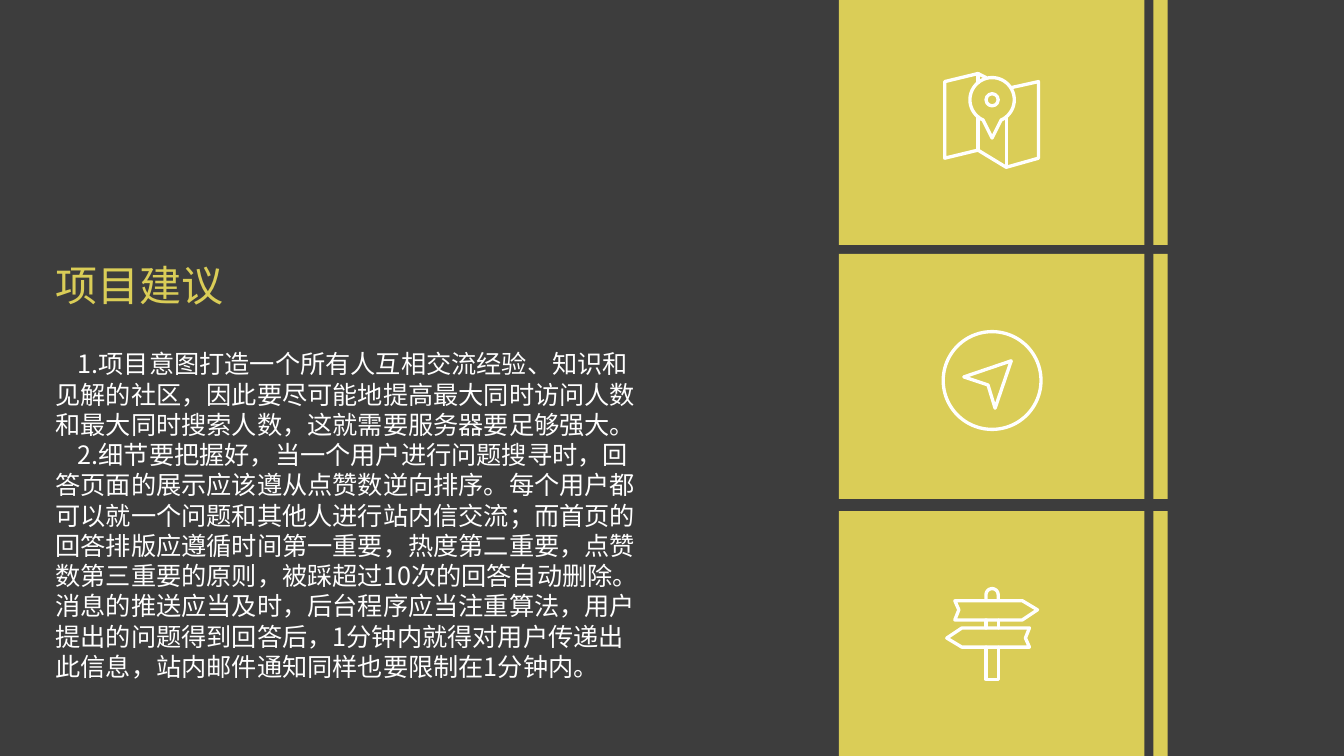
"""Build the project suggestions slide with a column of icon tiles."""
from math import cos, radians, sin

from lxml.etree import SubElement
from pptx import Presentation
from pptx.dml.color import RGBColor
from pptx.enum.shapes import MSO_CONNECTOR as CONN, MSO_SHAPE as SHAPE
from pptx.enum.text import MSO_ANCHOR as ANCHOR, MSO_AUTO_SIZE as FIT, PP_ALIGN as ALIGN
from pptx.oxml.ns import qn
from pptx.util import Inches, Pt

FONT = "Noto Sans CJK SC"
DARK, YELLOW, WHITE = "3D3D3D", "DACD57", "FFFFFF"
TITLE = "项目建议"
BODY = [
    "1.项目意图打造一个所有人互相交流经验、知识和见解的社区，因此要尽可能地提高最大同时访问人数和最大同时搜索人数，这就需要服务器要足够强大。",
    "2.细节要把握好，当一个用户进行问题搜寻时，回答页面的展示应该遵从点赞数逆向排序。每个用户都可以就一个问题和其他人进行站内信交流；而首页的回答排版应遵循时间第一重要，热度第二重要，点赞数第三重要的原则，被踩超过10次的回答自动删除。消息的推送应当及时，后台程序应当注重算法，用户提出的问题得到回答后，1分钟内就得对用户传递出此信息，站内邮件通知同样也要限制在1分钟内。",
]
TILE_TOPS, TILE_H = (0, 2.52, 5.07), 2.43
COLUMNS = ((8.32, 3.03), (11.44, 0.14))
ICON_X, ICON_YS = 9.84, (1.2, 3.78, 6.29)


def arc(cx, cy, r, start, end, steps=48):
    """Return points along an arc, with angles in degrees."""
    angles = [radians(start + (end - start) * i / steps) for i in range(steps + 1)]
    return [(cx + r * cos(a), cy + r * sin(a)) for a in angles]


MAP = {
    "circles": [(0, -21, 6)],
    "closed": [arc(0, -21, 22, 114, 426) + [(0, 17)]],
    "open": [[(-14, -47), (-47, -39), (-47, 37), (-14, 29), (14, 46), (46, 37), (46, -39), (19, -33)]],
    "lines": [(14, 46, 14, -4), (-14, -38, -14, -47), (-14, 29, -14, -4), (-6, -43, -14, -47)],
}
COMPASS = {
    "circles": [(0, -0.5, 48.5)],
    "closed": [[(3, 27), (-4, 4), (-28, -4), (19, -20)]],
}
SIGNPOST = {
    "closed": [
        [(30, -14), (-37, -14), (-33, -24), (-37, -33), (30, -33), (45, -24)],
        [(-30, -6), (37, -6), (33, 4), (37, 13), (-30, 13), (-45, 4)],
    ],
    "open": [
        [(-6, -35)] + arc(0, -39, 6, 180, 360) + [(6, -35)],
        [(-6, 13), (-6, 45), (6, 45), (6, 13)],
    ],
    "lines": [(-6, -14, -6, -6), (6, -6, 6, -14)],
}


def color(value):
    """Turn a hex string into a colour."""
    return RGBColor.from_string(value)


def outline(sp):
    """Give an icon part its white rounded outline."""
    sp.line.color.rgb = color(WHITE)
    sp.line.width = Pt(2.38)
    ln = sp.line._get_or_add_ln()
    ln.set("cap", "rnd")
    SubElement(ln, qn("a:round"))


def add_tile(shapes, left, top, width):
    """Add one yellow block."""
    sp = shapes.add_shape(SHAPE.RECTANGLE, Inches(left), Inches(top), Inches(width), Inches(TILE_H))
    sp.shadow.inherit = False
    sp.fill.solid()
    sp.fill.fore_color.rgb = color(YELLOW)
    sp.line.fill.background()


def add_icon(shapes, icon, cx, cy):
    """Draw a grouped icon from hundredths of an inch around its centre."""
    def at(x, y):
        return Inches(cx + x / 100), Inches(cy + y / 100)

    group = shapes.add_group_shape().shapes
    parts = []
    for x, y, r in icon.get("circles", []):
        size = Inches(r / 50)
        parts.append(group.add_shape(SHAPE.OVAL, *at(x - r, y - r), size, size))
    for kind in ("closed", "open"):
        for points in icon.get(kind, []):
            start, *rest = [at(*point) for point in points]
            builder = group.build_freeform(*start)
            builder.add_line_segments(rest, close=kind == "closed")
            parts.append(builder.convert_to_shape())
    for sp in parts:
        sp.shadow.inherit = False
        sp.fill.background()
        outline(sp)
    for x1, y1, x2, y2 in icon.get("lines", []):
        line = group.add_connector(CONN.STRAIGHT, *at(x1, y1), *at(x2, y2))
        outline(line)
        SubElement(line._element.spPr, qn("a:effectLst"))


def fill_text(sp, box, lines, size, shade, anchor, indent=0):
    """Place a placeholder and write its formatted paragraphs."""
    sp.left, sp.top, sp.width, sp.height = map(Inches, box)
    tf = sp.text_frame
    tf.text = "\n".join(lines)
    tf.word_wrap, tf.auto_size, tf.vertical_anchor = True, FIT.NONE, anchor
    for p in tf.paragraphs:
        p.alignment = ALIGN.LEFT
        p.space_before = Pt(0)
        p.font.name, p.font.size = FONT, Pt(size)
        p.font.color.rgb = color(shade)
        SubElement(p.font._element, qn("a:ea")).set("typeface", FONT)
        if indent:
            p.line_spacing = Pt(size * 1.2)
            pPr = p._p.get_or_add_pPr()
            pPr.set("marL", "0")
            pPr.set("indent", str(Inches(indent)))
            pPr.insert_element_before(pPr.makeelement(qn("a:buNone")), "a:defRPr")


def main():
    """Build and save the slide."""
    prs = Presentation()
    prs.slide_width, prs.slide_height = Inches(13.33), Inches(7.5)
    s = prs.slides.add_slide(prs.slide_layouts[1])
    s.background.fill.solid()
    s.background.fill.fore_color.rgb = color(DARK)
    title, body = s.placeholders
    fill_text(title, (0.45, 2.52, 5.04, 0.6), [TITLE], 30, YELLOW, ANCHOR.MIDDLE)
    fill_text(body, (0.45, 3.41, 6.02, 3.43), BODY, 18, WHITE, ANCHOR.TOP, 0.22)
    for top, icon, icon_y in zip(TILE_TOPS, (MAP, COMPASS, SIGNPOST), ICON_YS):
        for left, width in COLUMNS:
            add_tile(s.shapes, left, top, width)
        add_icon(s.shapes, icon, ICON_X, icon_y)
    prs.save("out.pptx")


if __name__ == "__main__":
    main()
